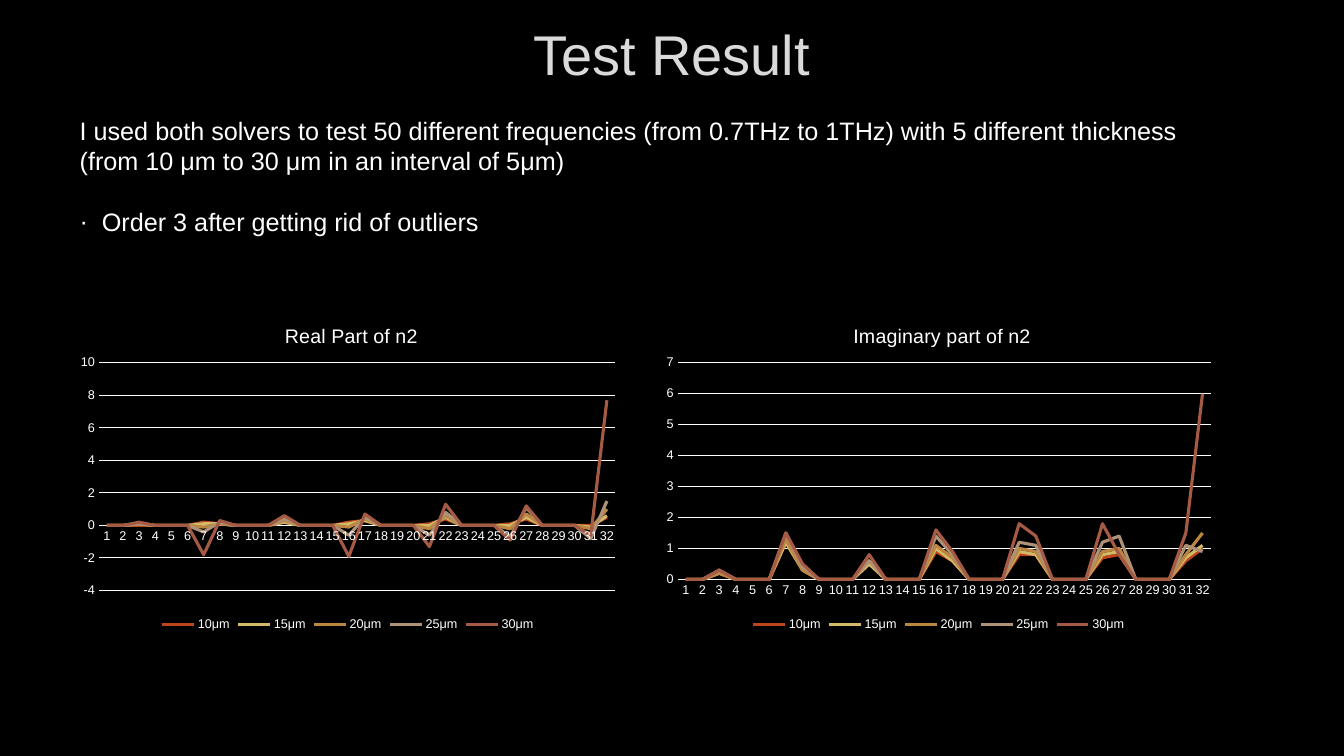
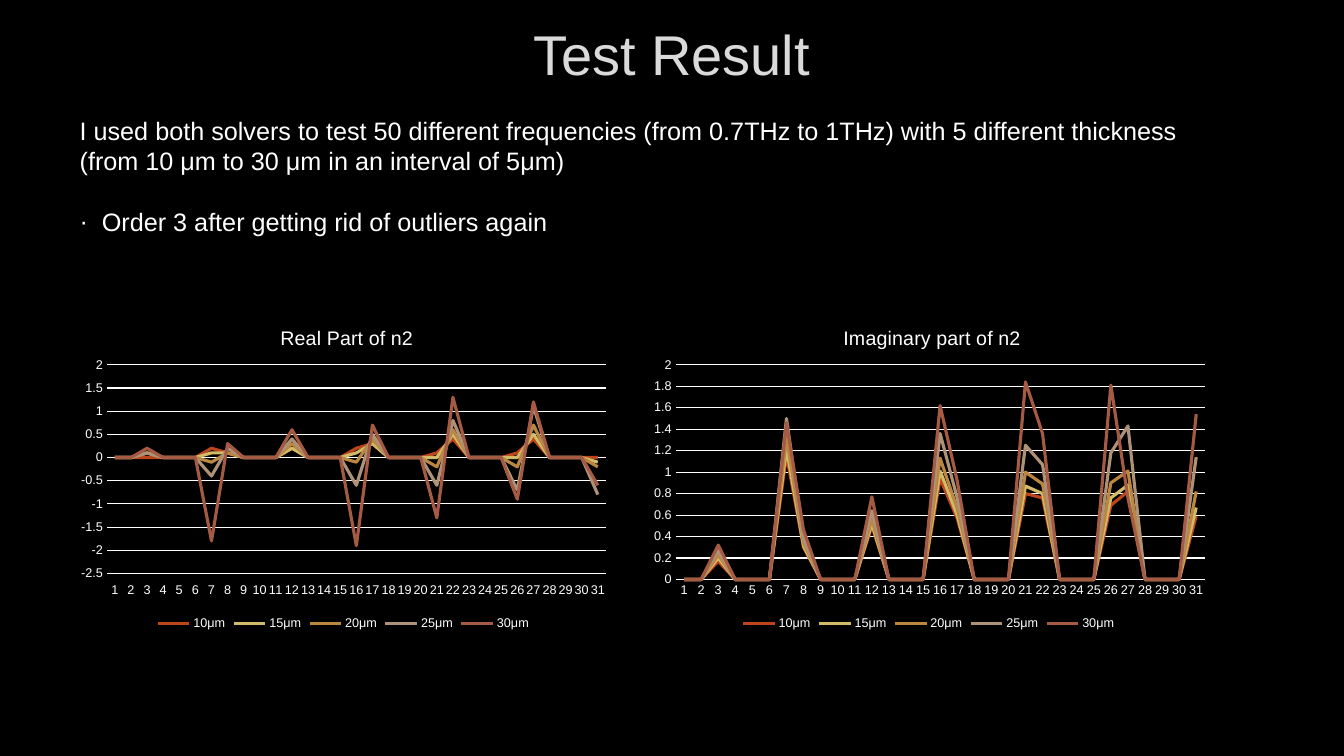
from lxml import etree
from pptx import Presentation
from pptx.chart.data import CategoryChartData
from pptx.dml.color import RGBColor
from pptx.enum.chart import XL_CHART_TYPE, XL_LEGEND_POSITION, XL_TICK_LABEL_POSITION, XL_TICK_MARK
from pptx.enum.text import MSO_ANCHOR, MSO_AUTO_SIZE, PP_ALIGN
from pptx.oxml.ns import qn
from pptx.util import Inches, Pt

LINE_CHART = XL_CHART_TYPE.LINE
LEGEND_BOTTOM = XL_LEGEND_POSITION.BOTTOM
LABELS_LOW = XL_TICK_LABEL_POSITION.LOW
LABELS_NEXT = XL_TICK_LABEL_POSITION.NEXT_TO_AXIS
NO_TICK = XL_TICK_MARK.NONE
MIDDLE = MSO_ANCHOR.MIDDLE
TOP = MSO_ANCHOR.TOP
NO_AUTOFIT = MSO_AUTO_SIZE.NONE
CENTER = PP_ALIGN.CENTER
LEFT = PP_ALIGN.LEFT

BLACK = RGBColor(0x00, 0x00, 0x00)
WHITE = RGBColor(0xFF, 0xFF, 0xFF)
SILVER = RGBColor(0xDA, 0xDA, 0xDA)
THICKNESS_COLORS = {
    "10μm": RGBColor(0xBC, 0x45, 0x1B),
    "15μm": RGBColor(0xD3, 0xBA, 0x68),
    "20μm": RGBColor(0xBB, 0x86, 0x40),
    "25μm": RGBColor(0xAD, 0x92, 0x77),
    "30μm": RGBColor(0xA5, 0x5A, 0x43),
}

FONT = "Arial"
TITLE_FONT = {"name": FONT, "size": Pt(40), "color": SILVER}
BODY_FONT = {"name": FONT, "size": Pt(18), "color": WHITE}
CHART_FONT = {"name": FONT, "size": Pt(10), "color": WHITE}
CHART_TITLE_FONT = {"name": FONT, "size": Pt(14), "color": WHITE, "bold": False}
LABEL_FONT = {"name": FONT, "size": Pt(9), "color": WHITE}

INTRODUCTION = (
    "I used both solvers to test 50 different frequencies (from 0.7THz to 1THz) "
    "with 5 different thickness (from 10 μm to 30 μm in an interval of 5μm)"
)
PEAK_POSITIONS = (3, 7, 8, 12, 16, 17, 21, 22, 26, 27, 31, 32)
REAL_PEAKS = (
    (0, 0.2, 0.1, 0.2, 0.2, 0.3, 0.1, 0.4, 0.1, 0.4, 0, 0.5),
    (0.1, 0.1, 0.1, 0.2, 0.1, 0.3, 0, 0.5, 0, 0.5, -0.1, 0.6),
    (0.1, -0.1, 0.1, 0.3, -0.1, 0.4, -0.2, 0.6, -0.2, 0.7, -0.2, 1),
    (0.1, -0.4, 0.2, 0.4, -0.6, 0.5, -0.6, 0.8, -0.7, 1.1, -0.8, 1.5),
    (0.2, -1.8, 0.3, 0.6, -1.9, 0.7, -1.3, 1.3, -0.9, 1.2, -0.6, 7.7),
)
IMAGINARY_PEAKS = (
    (0.17, 1.16, 0.3, 0.5, 0.94, 0.57, 0.8, 0.76, 0.69, 0.82, 0.59, 1),
    (0.2, 1.22, 0.31, 0.52, 1.01, 0.6, 0.87, 0.8, 0.76, 0.88, 0.67, 1.1),
    (0.23, 1.32, 0.34, 0.56, 1.13, 0.66, 1, 0.89, 0.9, 1.01, 0.82, 1.5),
    (0.27, 1.5, 0.38, 0.64, 1.36, 0.76, 1.25, 1.07, 1.18, 1.43, 1.14, 0.9),
    (0.32, 1.46, 0.46, 0.77, 1.62, 0.92, 1.84, 1.36, 1.81, 0.76, 1.54, 6),
)
REAL = {"title": "Real Part of n2", "title_width": 1.32, "peaks": REAL_PEAKS}
IMAGINARY = {"title": "Imaginary part of n2", "title_width": 1.76, "peaks": IMAGINARY_PEAKS}

SLIDES = (
    {
        "finding": "Order 3 after getting rid of outliers",
        "count": 32,
        "digits": 1,
        "charts": (
            {"part": REAL, "box": (0.69, 3.01, 5.52, 3.3), "plot": (0.98, 3.6, 5.12, 2.26),
             "scale": (-4, 10, 2)},
            {"part": IMAGINARY, "box": (6.49, 3.01, 5.64, 3.3), "plot": (6.72, 3.6, 5.29, 2.15),
             "scale": (0, 7, 1)},
        ),
    },
    {
        "finding": "Order 3 after getting rid of outliers again",
        "count": 31,
        "digits": 2,
        "charts": (
            {"part": REAL, "box": (0.69, 3.03, 5.43, 3.27), "plot": (1.06, 3.62, 4.95, 2.07),
             "scale": (-2.5, 2, 0.5), "labels": LABELS_LOW},
            {"part": IMAGINARY, "box": (6.37, 3.03, 5.68, 3.27), "plot": (6.7, 3.62, 5.25, 2.13),
             "scale": (0, 2, 0.2)},
        ),
    },
)


def format_font(font, values):
    for name, value in values.items():
        if name == "color":
            font.color.rgb = value
        else:
            setattr(font, name, value)


def set_layout(element, index, values):
    for old_layout in element.findall(qn("c:layout")):
        element.remove(old_layout)
    layout = etree.Element(qn("c:layout"))
    manual = etree.SubElement(layout, qn("c:manualLayout"))
    for name, value in values.items():
        etree.SubElement(manual, qn("c:" + name)).set("val", str(value))
    element.insert(index, layout)


def spread_peaks(peaks, count, digits):
    values_by_position = dict(zip(PEAK_POSITIONS, peaks))
    return [round(values_by_position.get(position, 0), digits) for position in range(1, count + 1)]


class Deck:
    def __init__(self):
        self.presentation = Presentation()
        self.presentation.slide_width = Inches(13.33)
        self.presentation.slide_height = Inches(7.5)
        fill = self.presentation.slide_master.background.fill
        fill.solid()
        fill.fore_color.rgb = BLACK
        self.slide = None

    def add_slide(self):
        self.slide = self.presentation.slides.add_slide(self.presentation.slide_layouts[1])

    def place(self, shape, box, anchor):
        shape.left, shape.top, shape.width, shape.height = map(Inches, box)
        frame = shape.text_frame
        frame.word_wrap = True
        frame.auto_size = NO_AUTOFIT
        frame.vertical_anchor = anchor
        return frame

    def set_text(self, paragraph, text, font, alignment, space_before=0):
        paragraph.text = text
        paragraph.alignment = alignment
        paragraph.space_before = Pt(space_before)
        format_font(paragraph.runs[0].font, font)

    def set_bullet(self, paragraph, indent, character=None):
        properties = paragraph._p.get_or_add_pPr()
        properties.set("marL", str(Inches(indent)))
        properties.set("indent", str(-Inches(indent)))
        if character:
            etree.SubElement(properties, qn("a:buChar")).set("char", character)
        else:
            etree.SubElement(properties, qn("a:buNone"))

    def add_title(self, text):
        frame = self.place(self.slide.shapes.title, (1, 0, 11.32, 1.06), MIDDLE)
        self.set_text(frame.paragraphs[0], text, TITLE_FONT, CENTER)

    def add_body(self, introduction, finding):
        frame = self.place(self.slide.placeholders[1], (0.69, 1.09, 11.36, 1.92), TOP)
        self.set_text(frame.paragraphs[0], introduction, BODY_FONT, LEFT)
        self.set_bullet(frame.paragraphs[0], 0)
        bullet = frame.add_paragraph()
        self.set_text(bullet, finding, BODY_FONT, LEFT, 22)
        self.set_bullet(bullet, 0.22, "·")

    def add_line_chart(self, part, box, plot, scale, count, digits, labels=LABELS_NEXT):
        data = CategoryChartData()
        data.categories = [str(number) for number in range(1, count + 1)]
        for name, peaks in zip(THICKNESS_COLORS, part["peaks"]):
            data.add_series(name, spread_peaks(peaks, count, digits))
        chart = self.slide.shapes.add_chart(LINE_CHART, *map(Inches, box), data).chart
        format_font(chart.font, CHART_FONT)
        self.format_series(chart)
        self.format_axes(chart, scale, labels)
        chart.has_legend = True
        chart.legend.position = LEGEND_BOTTOM
        chart.legend.include_in_layout = False
        format_font(chart.legend.font, LABEL_FONT)
        self.add_chart_title(chart, part, box)
        left, top, width, height = box
        set_layout(chart._chartSpace.chart.plotArea, 0, {
            "layoutTarget": "inner", "xMode": "edge", "yMode": "edge",
            "x": (plot[0] - left) / width, "y": (plot[1] - top) / height,
            "w": plot[2] / width, "h": plot[3] / height,
        })

    def add_chart_title(self, chart, part, box):
        chart.has_title = True
        title = chart.chart_title
        title.include_in_layout = False
        paragraph = title.text_frame.paragraphs[0]
        paragraph.text = part["title"]
        format_font(paragraph.runs[0].font, CHART_TITLE_FONT)
        set_layout(title._element, 1, {
            "xMode": "edge", "yMode": "edge",
            "x": (1 - part["title_width"] / box[2]) / 2, "y": 0.16 / box[3],
        })

    def format_series(self, chart):
        chart.plots[0].vary_by_categories = False
        for series in chart.plots[0].series:
            series.smooth = False
            series.format.line.width = Pt(2.25)
            series.format.line.color.rgb = THICKNESS_COLORS[series.name]

    def format_axes(self, chart, scale, labels):
        category_axis, value_axis = chart.category_axis, chart.value_axis
        for axis in (category_axis, value_axis):
            axis.major_tick_mark = NO_TICK
            axis.minor_tick_mark = NO_TICK
            format_font(axis.tick_labels.font, LABEL_FONT)
        category_axis.tick_label_position = labels
        category_axis._element.find(qn("c:txPr")).find(qn("a:bodyPr")).set("rot", "0")
        label_step = etree.Element(qn("c:tickLblSkip"))
        label_step.set("val", "1")
        category_axis._element.find(qn("c:noMultiLvlLbl")).addprevious(label_step)
        value_axis.minimum_scale, value_axis.maximum_scale, value_axis.major_unit = scale
        value_axis.tick_labels.number_format = "General"
        value_axis.tick_labels.number_format_is_linked = False
        value_axis.has_major_gridlines = True
        value_axis.format.line.fill.background()
        for line in (category_axis.format.line, value_axis.major_gridlines.format.line):
            line.color.rgb = WHITE
            line.width = Pt(0.75)


def main():
    deck = Deck()
    for content in SLIDES:
        deck.add_slide()
        deck.add_title("Test Result")
        deck.add_body(INTRODUCTION, content["finding"])
        for chart in content["charts"]:
            deck.add_line_chart(count=content["count"], digits=content["digits"], **chart)
    deck.presentation.save("out.pptx")


if __name__ == "__main__":
    main()
